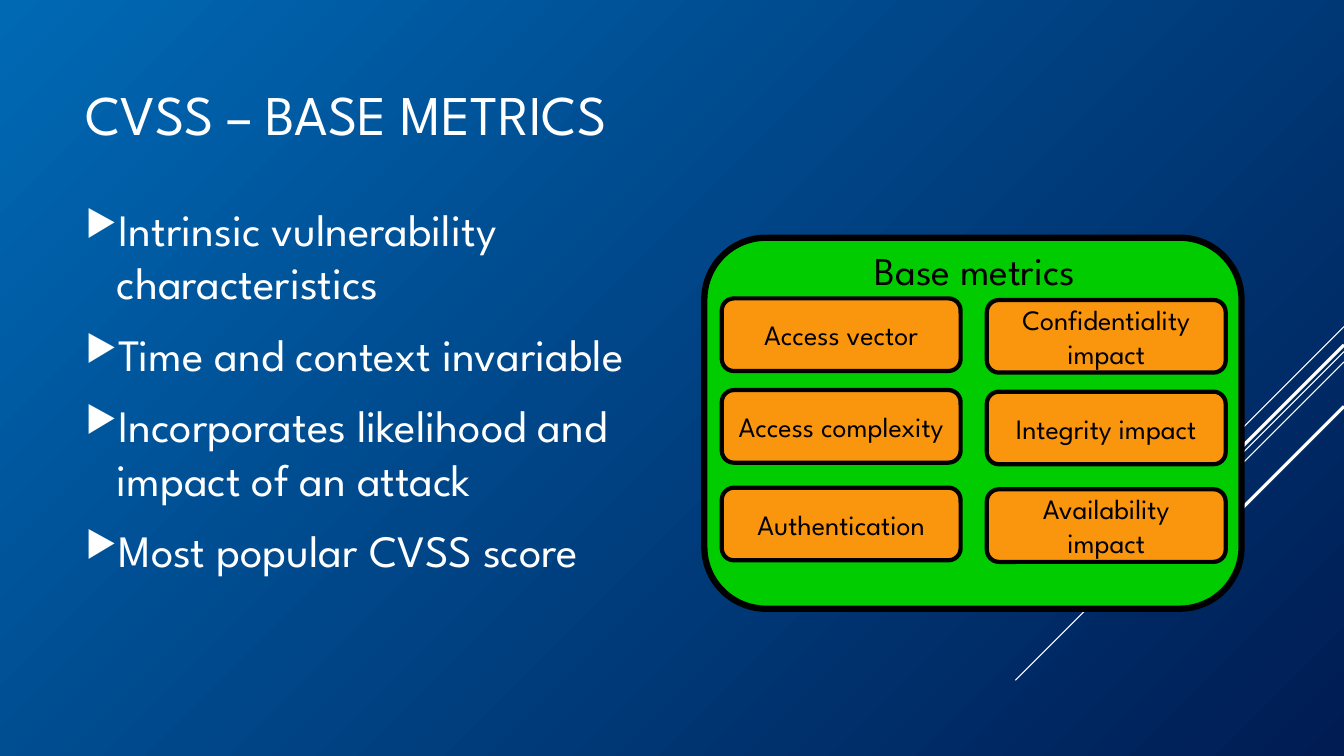
"""Build the slide that lists the CVSS base metrics."""
from lxml import etree
from pptx import Presentation
from pptx.dml.color import RGBColor
from pptx.enum.shapes import MSO_CONNECTOR as Connector, MSO_SHAPE as Shape
from pptx.enum.text import MSO_ANCHOR as Anchor, PP_ALIGN as Align
from pptx.oxml.ns import qn
from pptx.util import Cm, Pt

TITLE = "CVSS – BASE METRICS"
POINTS = [
    "Intrinsic vulnerability characteristics",
    "Time and context invariable",
    "Incorporates likelihood and impact of an attack",
    "Most popular CVSS score",
]
PANEL_TITLE = "Base metrics"
METRIC_COLUMNS = [
    ["Access vector", "Access complexity", "Authentication"],
    ["Confidentiality impact", "Integrity impact", "Availability impact"],
]
COLUMN_PLACES = [(18.19, 0, 0.2), (24.87, 0.04, 0.45)]
ROW_TOPS = [7.52, 9.83, 12.29]
METRIC_WIDTH, METRIC_HEIGHT = 6.02, 1.83
DIAGONALS = [
    (8.23, 2.54, 0.75),
    (8.86, 8.28, 0.75),
    (9.12, 5.27, 0.75),
    (8.69, 4.85, 2.25),
    (10.24, 3.53, 2.25),
]
SLIDE_WIDTH, SLIDE_HEIGHT = 33.87, 19.05

FONT = "League Spartan"
WHITE = RGBColor(0xFF, 0xFF, 0xFF)
BLACK = RGBColor(0x00, 0x00, 0x00)
GREEN = RGBColor(0x00, 0xCC, 0x00)
ORANGE = RGBColor(0xFA, 0x95, 0x0E)
LIGHT_BLUE = RGBColor(0x00, 0x69, 0xB4)
NAVY = RGBColor(0x00, 0x1C, 0x53)


def write(shape, lines, size, color, align=Align.LEFT, anchor=Anchor.TOP):
    frame = shape.text_frame
    frame.word_wrap = True
    frame.vertical_anchor = anchor
    frame.text = "\n".join(lines)
    for para in frame.paragraphs:
        para.alignment = align
        for span in para.runs:
            span.font.name = FONT
            span.font.size = Pt(size)
            span.font.color.rgb = color
    return frame


def add_text(slide, place, lines, size, color, **layout):
    box = slide.shapes.add_textbox(*map(Cm, place))
    return write(box, lines, size, color, **layout)


def add_rounded(slide, place, fill, line_width):
    shape = slide.shapes.add_shape(Shape.ROUNDED_RECTANGLE, *map(Cm, place))
    shape.shadow.inherit = False
    shape.fill.solid()
    shape.fill.fore_color.rgb = fill
    shape.line.color.rgb = BLACK
    shape.line.width = Pt(line_width)
    return shape


def add_diagonal(slide, top, run, width):
    line = slide.shapes.add_connector(
        Connector.STRAIGHT, Cm(SLIDE_WIDTH), Cm(top), Cm(SLIDE_WIDTH - run), Cm(top + run))
    line.line.color.rgb = WHITE
    line.line.width = Pt(width)
    etree.SubElement(line._element.spPr, qn("a:effectLst"))


def add_bullet(para):
    para.space_before, para.space_after = Pt(6.4), Pt(6)
    properties = para._p.get_or_add_pPr()
    properties.set("marL", str(Cm(0.79)))
    properties.set("indent", str(-Cm(0.79)))
    color = etree.SubElement(properties, qn("a:buClr"))
    etree.SubElement(color, qn("a:srgbClr"), val=str(WHITE))
    etree.SubElement(properties, qn("a:buSzPct"), val="80000")
    etree.SubElement(properties, qn("a:buChar"), char="▶")


deck = Presentation()
deck.slide_width, deck.slide_height = Cm(SLIDE_WIDTH), Cm(SLIDE_HEIGHT)
slide = deck.slides.add_slide(deck.slide_layouts[6])
backdrop = slide.background.fill
backdrop.gradient()
backdrop.gradient_angle = 315
for stop, color in zip(backdrop.gradient_stops, (LIGHT_BLUE, NAVY)):
    stop.color.rgb = color

for diagonal in DIAGONALS:
    add_diagonal(slide, *diagonal)

add_text(slide, (1.9, 0.76, 23.7, 4.19), [TITLE], 40, WHITE, anchor=Anchor.MIDDLE)
body = add_text(slide, (1.9, 4.95, 15.19, 11.43), POINTS, 32, WHITE)
for para in body.paragraphs:
    add_bullet(para)

add_rounded(slide, (17.75, 5.99, 13.54, 9.35), GREEN, 4.5)
add_text(slide, (17.75, 6.07, 13.64, 1.45), [PANEL_TITLE], 28, BLACK, align=Align.CENTER)
for metrics, (left, drop, margin) in zip(METRIC_COLUMNS, COLUMN_PLACES):
    for metric, top in zip(metrics, ROW_TOPS):
        place = (left, top + drop, METRIC_WIDTH, METRIC_HEIGHT)
        tile = add_rounded(slide, place, ORANGE, 3)
        frame = write(tile, [metric], 20, BLACK, Align.CENTER, Anchor.MIDDLE)
        frame.margin_left = frame.margin_right = Cm(margin)
        frame.margin_top = frame.margin_bottom = 0

deck.save("out.pptx")
